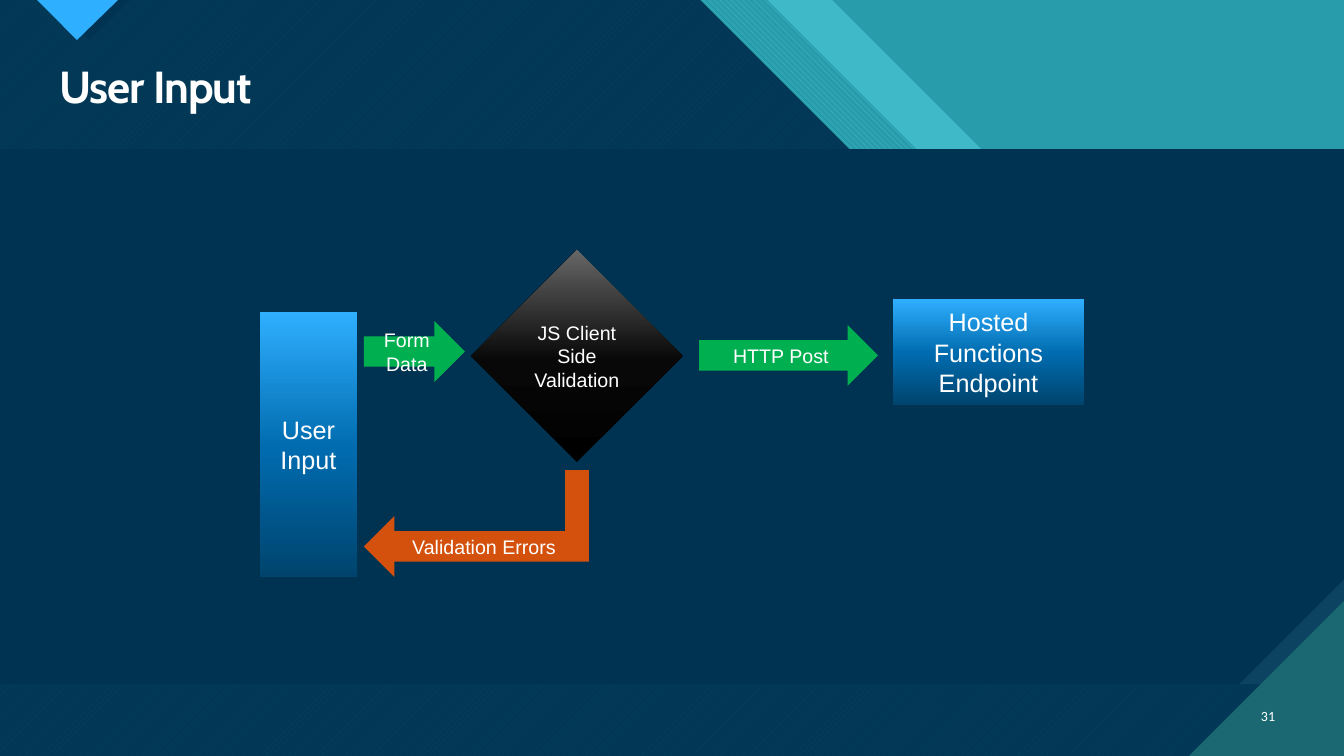
import copy

import pptx
import pptx.dml.color
import pptx.enum.dml
import pptx.enum.shapes
import pptx.enum.text
import pptx.oxml.ns
import pptx.util
from lxml import etree

EMU_PER_PX = 914400 / 100.8
WIDTH, HEIGHT = 1344, 756
HEADER_BOTTOM, PANEL_BOTTOM = 149, 684

WHITE, NAVY, STEEL = "FFFFFF", "003352", "0C4360"
TEAL, AQUA, DEEP_TEAL = "299CAB", "47C3D3", "1B6872"
SKY, GREEN, ORANGE = "2FAFFF", "00B050", "D3510C"
BLUE_FADE = ("00446E", "006BAE", SKY)
BLACK_FADE = ("000000", "080808", "666666")

SHAPE = pptx.enum.shapes.MSO_SHAPE
PATTERN = pptx.enum.dml.MSO_PATTERN
ALIGN = pptx.enum.text.PP_ALIGN
MIDDLE = pptx.enum.text.MSO_ANCHOR.MIDDLE
qn = pptx.oxml.ns.qn


def px(n):
    """Turn slide pixels into EMU."""
    return pptx.util.Emu(round(n * EMU_PER_PX))


def rgb(color):
    """Turn a hex string into a colour."""
    return pptx.dml.color.RGBColor.from_string(color)


def fill_solid(sp, color, opacity=100):
    """Give a shape one colour, with an opacity in percent."""
    sp.fill.solid()
    sp.fill.fore_color.rgb = rgb(color)
    if opacity < 100:
        clr = sp._element.spPr.find(".//" + qn("a:srgbClr"))
        etree.SubElement(clr, qn("a:alpha")).set("val", str(opacity * 1000))


def fill_pattern(sp, pattern, fore, back):
    """Give a shape a two-colour pattern."""
    sp.fill.patterned()
    sp.fill.pattern = pattern
    sp.fill.fore_color.rgb = rgb(fore)
    sp.fill.back_color.rgb = rgb(back)


def fill_fade(sp, colors):
    """Fade a shape upwards through three colours."""
    sp.fill.gradient()
    sp.fill.gradient_angle = 90
    stops = sp._element.spPr.find(".//" + qn("a:gsLst"))
    stops.insert(1, copy.deepcopy(stops[0]))
    for stop, position, color in zip(sp.fill.gradient_stops, (0, 0.48, 1), colors):
        stop.position = position
        stop.color.rgb = rgb(color)


def add_polygon(s, points):
    """Add a closed outline without line or shadow."""
    builder = s.shapes.build_freeform(*points[0], scale=EMU_PER_PX)
    builder.add_line_segments(points[1:], close=True)
    sp = builder.convert_to_shape()
    sp.shadow.inherit = False
    sp.line.fill.background()
    return sp


def add_slanted(s, edge):
    """Add a full-height area whose right side runs down at 45 degrees from edge."""
    return add_polygon(s, [(0, 0), (edge, 0), (WIDTH, WIDTH - edge),
                           (WIDTH, HEIGHT), (0, HEIGHT)])


def style_text(tf, size, font="Arial", align=ALIGN.CENTER):
    """Format the only paragraph of a text frame in white."""
    tf.word_wrap = True
    tf.vertical_anchor = MIDDLE
    p = tf.paragraphs[0]
    p.alignment = align
    r = p.runs[0]
    r.font.name = font
    r.font.size = pptx.util.Pt(size)
    r.font.color.rgb = rgb(WHITE)
    return p


def add_node(s, kind, box, fill, text="", size=14):
    """Add a flow element; fill is a hex string or a tuple to fade through."""
    sp = s.shapes.add_shape(kind, *map(px, box))
    sp.shadow.inherit = False
    sp.line.fill.background()
    if isinstance(fill, tuple):
        fill_fade(sp, fill)
    else:
        fill_solid(sp, fill)
    if text:
        sp.text_frame.text = text
        style_text(sp.text_frame, size)


def add_backdrop(s):
    """Draw the slanted header, the content panel and the corner triangles."""
    s.background.fill.solid()
    s.background.fill.fore_color.rgb = rgb(TEAL)
    fill_solid(add_slanted(s, 832), AQUA, 74)
    fill_pattern(add_slanted(s, 767), PATTERN.WIDE_DOWNWARD_DIAGONAL, AQUA, TEAL)
    fill_pattern(add_slanted(s, 700), PATTERN.WIDE_UPWARD_DIAGONAL, AQUA, DEEP_TEAL)
    fill_solid(add_slanted(s, 700), NAVY, 90)

    for left, color in ((49, NAVY), (37, SKY)):
        fill_solid(add_polygon(s, [(left, 0), (left + 81, 0), (left + 40, 40)]), color)

    for snip, color in ((0, STEEL), (105, NAVY)):
        panel = add_polygon(s, [(0, HEADER_BOTTOM), (WIDTH, HEADER_BOTTOM),
                                (WIDTH, PANEL_BOTTOM - snip),
                                (WIDTH - snip, PANEL_BOTTOM), (0, PANEL_BOTTOM)])
        fill_solid(panel, color)

    corner = 155
    fill_solid(add_polygon(s, [(WIDTH - corner, HEIGHT), (WIDTH, HEIGHT),
                               (WIDTH, HEIGHT - corner)]), DEEP_TEAL)


def set_title(s, text):
    """Place and format the title, in front of the backdrop."""
    title = s.shapes.title
    s.shapes._spTree.append(title._element)
    title.left, title.top, title.width, title.height = map(px, (49, 59, 1236, 59))
    title.text_frame.text = text
    p = style_text(title.text_frame, 32, "Cabin", ALIGN.LEFT)
    p.line_spacing = 0.9
    r = p.runs[0]
    r.font.bold = True
    r._r.get_or_add_rPr().set("spc", "-70")


def add_page_number(s, number):
    """Write the page number in the lower right corner."""
    tb = s.shapes.add_textbox(*map(px, (1241, 696, 44, 40)))
    tb.text_frame.text = number
    style_text(tb.text_frame, 10, "Calibri", ALIGN.RIGHT)


def add_flow(s):
    """Draw the validation flow."""
    process = SHAPE.FLOWCHART_PROCESS
    add_node(s, SHAPE.DIAMOND, (471, 250, 212, 212), BLACK_FADE,
             "JS Client Side Validation")
    add_node(s, process, (260, 312, 97, 265), BLUE_FADE, "User Input", 18)
    add_node(s, SHAPE.RIGHT_ARROW, (364, 321, 101, 61), GREEN, "Form Data")
    add_node(s, SHAPE.LEFT_ARROW, (364, 516, 225, 61), ORANGE, "Validation Errors")
    add_node(s, process, (565, 470, 24, 85), ORANGE)
    add_node(s, SHAPE.RIGHT_ARROW, (699, 325, 179, 61), GREEN, "HTTP Post")
    add_node(s, process, (893, 299, 191, 106), BLUE_FADE,
             "Hosted Functions Endpoint", 18)


def main():
    """Build and save the slide."""
    prs = pptx.Presentation()
    prs.slide_width, prs.slide_height = px(WIDTH), px(HEIGHT)
    s = prs.slides.add_slide(prs.slide_layouts.get_by_name("Title Only"))
    add_backdrop(s)
    set_title(s, "User Input")
    add_page_number(s, "31")
    add_flow(s)
    prs.save("out.pptx")


main()
